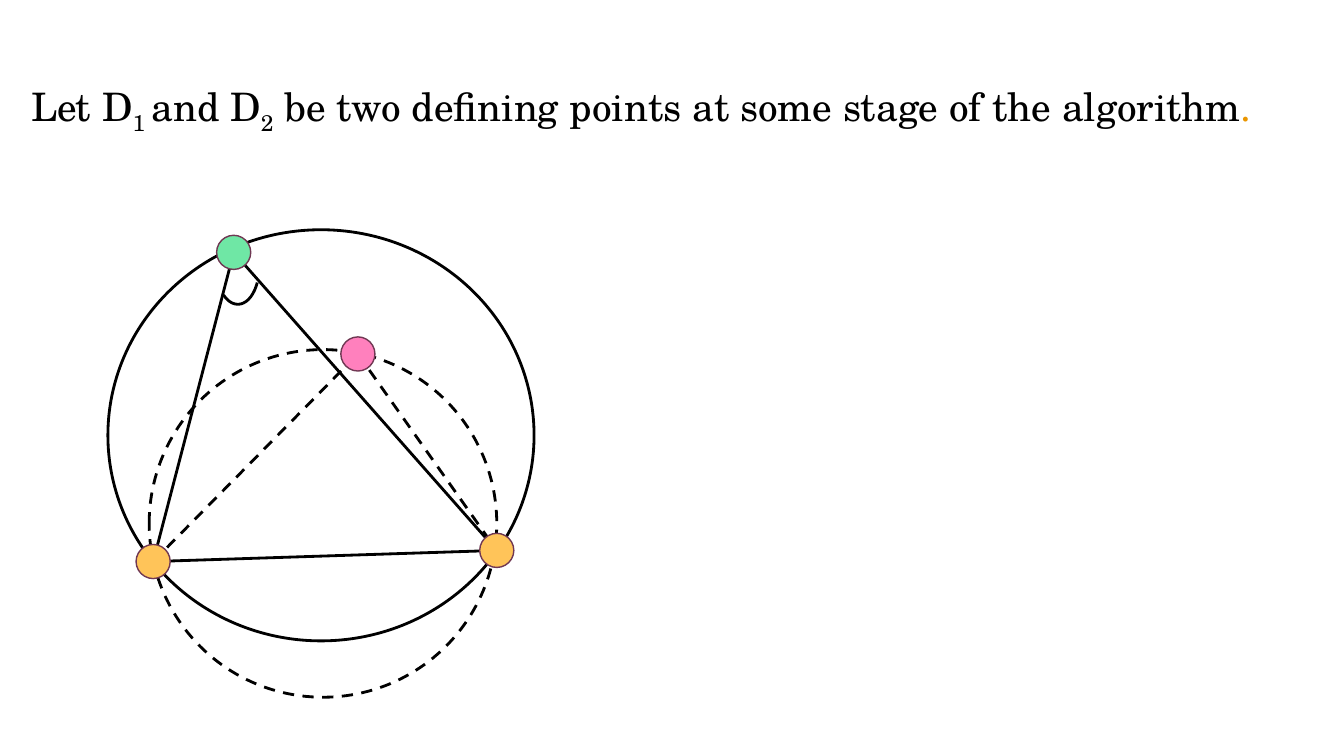
from dataclasses import dataclass

from lxml.etree import SubElement
from pptx import Presentation
from pptx.dml.color import RGBColor
from pptx.enum.dml import MSO_LINE
from pptx.enum.shapes import MSO_CONNECTOR, MSO_SHAPE
from pptx.enum.text import MSO_ANCHOR, MSO_AUTO_SIZE, PP_ALIGN
from pptx.oxml.ns import qn
from pptx.util import Cm, Pt

FONT = "TeX Gyre Schola"
BLACK = "000000"
DOT = 0.86


@dataclass(frozen=True)
class Point:
    x: float
    y: float
    fill: str


@dataclass(frozen=True)
class Edge:
    start: Point
    end: Point
    dashed: bool = False


@dataclass(frozen=True)
class Curve:
    left: float
    top: float
    width: float
    height: float
    dashed: bool = False
    kind: MSO_SHAPE = MSO_SHAPE.OVAL
    angles: tuple[float, ...] = ()


LEFT = Point(3.86, 14.15, "FFC459")
RIGHT = Point(12.52, 13.87, "FFC459")
TOP = Point(5.89, 6.36, "6FE7A5")
INNER = Point(9.02, 8.92, "FF80BD")

CIRCLES = [
    Curve(2.72, 5.79, 10.74, 10.36),
    Curve(3.76, 8.81, 8.76, 8.76, dashed=True),
]
EDGES = [
    Edge(LEFT, RIGHT),
    Edge(LEFT, INNER, dashed=True),
    Edge(INNER, RIGHT, dashed=True),
    Edge(LEFT, TOP),
    Edge(TOP, RIGHT),
]
ANGLE = Curve(5.46, 5.84, 1.07, 1.83, kind=MSO_SHAPE.ARC, angles=(22.14, 70.57))

# Text, baseline shift in thousandths of a percent
TITLE = [
    ("Let D", 0),
    ("1 ", -25000),
    ("and D", 0),
    ("2", -25000),
    (" be two defining points at some stage of the algorithm", 0),
    (".", 0),
]


def color(code: str) -> RGBColor:
    return RGBColor.from_string(code)


def stroke(line, code: str, width: float, dashed: bool = False) -> None:
    line.color.rgb = color(code)
    line.width = Pt(width)
    if dashed:
        line.dash_style = MSO_LINE.DASH


def add_curve(slide, curve: Curve) -> None:
    shape = slide.shapes.add_shape(
        curve.kind, Cm(curve.left), Cm(curve.top), Cm(curve.width), Cm(curve.height)
    )
    for index, angle in enumerate(curve.angles):
        shape.adjustments[index] = angle
    shape.shadow.inherit = False
    shape.fill.background()
    stroke(shape.line, BLACK, 2, curve.dashed)


def add_edge(slide, edge: Edge) -> None:
    start, end = edge.start, edge.end
    link = slide.shapes.add_connector(
        MSO_CONNECTOR.STRAIGHT, Cm(start.x), Cm(start.y), Cm(end.x), Cm(end.y)
    )
    stroke(link.line, BLACK, 2, edge.dashed)
    SubElement(link._element.spPr, qn("a:effectLst"))


def add_dot(slide, point: Point) -> None:
    dot = slide.shapes.add_shape(
        MSO_SHAPE.OVAL, Cm(point.x - DOT / 2), Cm(point.y - DOT / 2), Cm(DOT), Cm(DOT)
    )
    dot.shadow.inherit = False
    dot.fill.solid()
    dot.fill.fore_color.rgb = color(point.fill)
    stroke(dot.line, "703853", 1)


def set_title(slide) -> None:
    title = slide.shapes.title
    title.left, title.top = Cm(0.53), Cm(0.46)
    title.width, title.height = Cm(32.79), Cm(4.47)
    frame = title.text_frame
    frame.word_wrap = True
    frame.auto_size = MSO_AUTO_SIZE.NONE
    frame.vertical_anchor = MSO_ANCHOR.MIDDLE
    line = frame.paragraphs[0]
    line.alignment = PP_ALIGN.LEFT
    line.line_spacing = 0.9
    line.font.name = FONT
    line.font.size = Pt(28)
    line.font.color.rgb = color(BLACK)
    for text, shift in TITLE:
        run = line.add_run()
        run.text = text
        if shift:
            run._r.get_or_add_rPr().set("baseline", str(shift))
    line.runs[-1].font.color.rgb = color("EA9600")


def main() -> None:
    deck = Presentation()
    deck.slide_width, deck.slide_height = Cm(33.87), Cm(19.05)
    slide = deck.slides.add_slide(deck.slide_layouts[5])
    set_title(slide)
    for circle in CIRCLES:
        add_curve(slide, circle)
    for edge in EDGES:
        add_edge(slide, edge)
    for point in (INNER, RIGHT, LEFT, TOP):
        add_dot(slide, point)
    add_curve(slide, ANGLE)
    deck.save("out.pptx")


if __name__ == "__main__":
    main()
